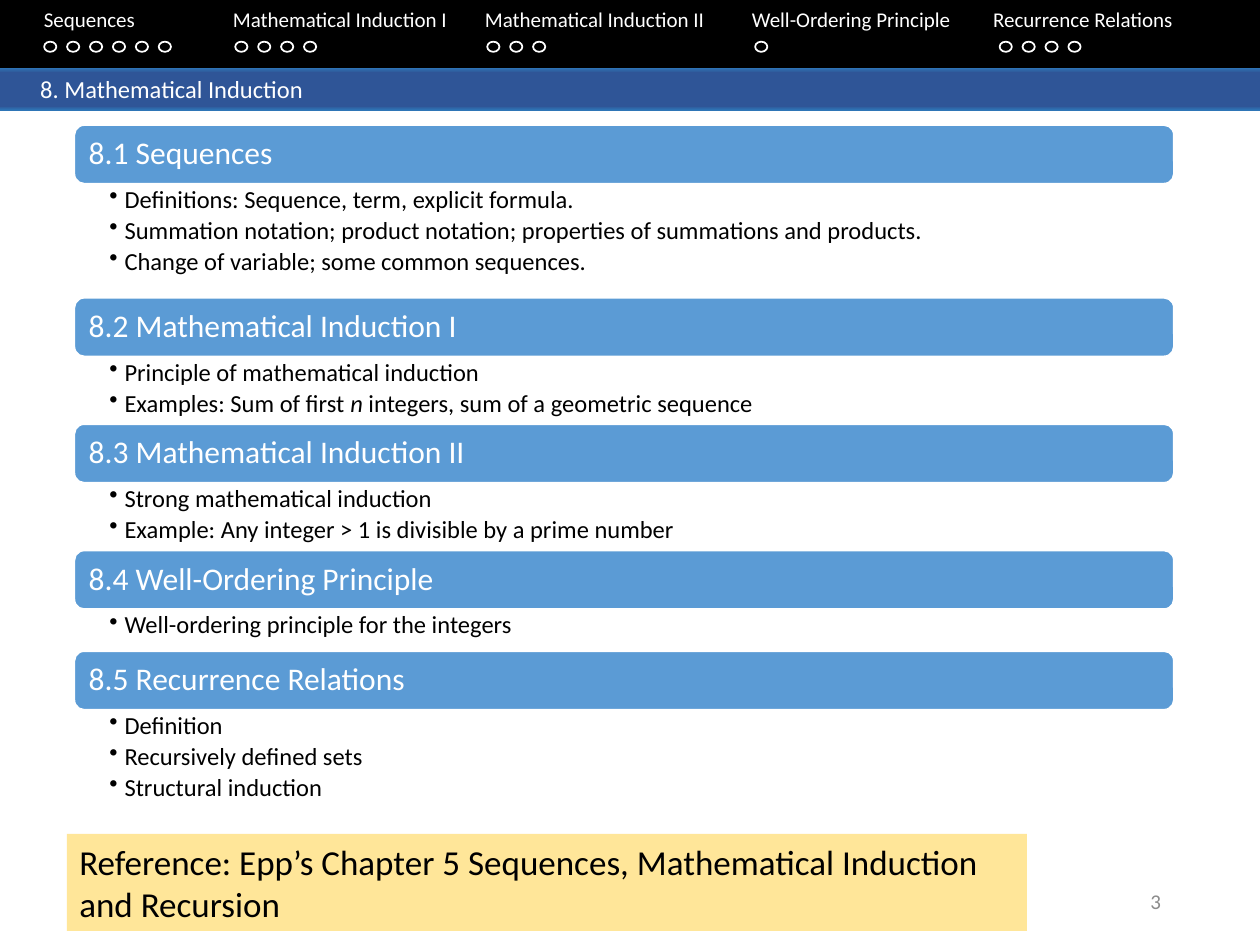
from lxml.etree import SubElement
from pptx import Presentation
from pptx.dml.color import RGBColor
from pptx.enum.shapes import MSO_SHAPE
from pptx.enum.text import MSO_ANCHOR, MSO_AUTO_SIZE, PP_ALIGN
from pptx.oxml.ns import qn
from pptx.util import Pt

FONT = "Calibri"
WHITE, BLACK, GREY = "FFFFFF", "000000", "8C8C8C"
HEADING_BLUE, REFERENCE_YELLOW = "5B9BD5", "FFE699"
BAR_STOPS = [(0, "2E75B6"), (11, "2F5597"), (91, "2F5597"), (100, "2E75B6")]

# Title, tab stop, left of first dot, number of dots
NAVIGATION = [
    ("Sequences", 18, 25.2, 6),
    ("Mathematical Induction I", 126, 134.4, 4),
    ("Mathematical Induction II", 270, 278.4, 3),
    ("Well-Ordering Principle", 422.6, 431.5, 1),
    ("Recurrence Relations", 560.5, 571.2, 4),
]
DOT_TOP, DOT_WIDTH, DOT_HEIGHT, DOT_PITCH = 23.8, 7, 5.8, 13.1

# Heading, height of the bullet area, bullets; asterisks mark italics
SECTIONS = [
    ("8.1 Sequences", 65.2, [
        "Definitions: Sequence, term, explicit formula.",
        "Summation notation; product notation; properties of summations and products.",
        "Change of variable; some common sequences."]),
    ("8.2 Mathematical Induction I", 38.7, [
        "Principle of mathematical induction",
        "Examples: Sum of first *n* integers, sum of a geometric sequence"]),
    ("8.3 Mathematical Induction II", 38.7, [
        "Strong mathematical induction",
        "Example: Any integer > 1 is divisible by a prime number"]),
    ("8.4 Well-Ordering Principle", 24, [
        "Well-ordering principle for the integers"]),
    ("8.5 Recurrence Relations", 57, [
        "Definition",
        "Recursively defined sets",
        "Structural induction"]),
]
SECTION_LEFT, SECTION_TOP, SECTION_WIDTH, HEADING_HEIGHT = 42.5, 71.5, 628.3, 33.5


def rgb(color):
    return RGBColor.from_string(color)


def add_shape(slide, kind, box, fill=None, line=None):
    shape = slide.shapes.add_shape(kind, *map(Pt, box))
    shape.shadow.inherit = False
    if fill:
        shape.fill.solid()
        shape.fill.fore_color.rgb = rgb(fill)
    else:
        shape.fill.background()
    if line:
        shape.line.color.rgb = rgb(line)
        shape.line.width = Pt(1)
    else:
        shape.line.fill.background()
    return shape


def set_bar_gradient(shape):
    shape.fill.gradient()
    shape.fill.gradient_angle = 270
    stops = shape.fill._fill._gradFill.find(qn("a:gsLst"))
    for stop in list(stops):
        stops.remove(stop)
    for percent, color in BAR_STOPS:
        stop = SubElement(stops, qn("a:gs"), pos=str(percent * 1000))
        SubElement(stop, qn("a:srgbClr"), val=color)


def set_frame(shape, insets=(7.2, 3.6, 7.2, 3.6), anchor=MSO_ANCHOR.TOP):
    frame = shape.text_frame
    frame.word_wrap = True
    frame.vertical_anchor = anchor
    (frame.margin_left, frame.margin_top,
     frame.margin_right, frame.margin_bottom) = map(Pt, insets)
    return frame


def format_paragraph(paragraph, size, color, align=PP_ALIGN.LEFT):
    paragraph.alignment = align
    for run in paragraph.runs:
        run.font.name = FONT
        run.font.size = Pt(size)
        run.font.color.rgb = rgb(color)


def write_text(shape, text, size, color, align=PP_ALIGN.LEFT, **frame_options):
    frame = set_frame(shape, **frame_options)
    frame.text = text
    format_paragraph(frame.paragraphs[0], size, color, align)
    return frame


def add_text_box(slide, box):
    return slide.shapes.add_textbox(*map(Pt, box))


def add_navigation(slide):
    add_shape(slide, MSO_SHAPE.RECTANGLE, (0, 0, 720, 38.9), BLACK)
    titles = "".join("\t" + title for title, *_ in NAVIGATION)
    frame = write_text(add_text_box(slide, (0, 0, 720, 36)), titles, 12, WHITE)
    properties = frame.paragraphs[0]._p.get_or_add_pPr()
    tab_list = SubElement(properties, qn("a:tabLst"))
    for _, tab, first_dot, count in NAVIGATION:
        SubElement(tab_list, qn("a:tab"), pos=str(int(Pt(tab))), algn="l")
        for index in range(count):
            left = first_dot + index * DOT_PITCH
            add_shape(slide, MSO_SHAPE.OVAL,
                      (left, DOT_TOP, DOT_WIDTH, DOT_HEIGHT), line=WHITE)


def add_chapter_bar(slide):
    bar = add_shape(slide, MSO_SHAPE.RECTANGLE, (0, 38.9, 720, 24))
    set_bar_gradient(bar)
    write_text(bar, "8. Mathematical Induction", 14, WHITE,
               insets=(23, 3.6, 7.2, 3.6))


def add_bullets(slide, box, bullets):
    frame = set_frame(add_text_box(slide, box), insets=(20, 2, 10, 2))
    for index, bullet in enumerate(bullets):
        paragraph = frame.paragraphs[0] if index == 0 else frame.add_paragraph()
        paragraph.level = 1
        paragraph.line_spacing = 0.9
        paragraph.space_after = Pt(2.5)
        for part, text in enumerate(bullet.split("*")):
            run = paragraph.add_run()
            run.text = text
            run.font.italic = part % 2 == 1
        format_paragraph(paragraph, 14, BLACK)
        properties = paragraph._p.get_or_add_pPr()
        properties.set("marL", str(int(Pt(8.64))))
        properties.set("indent", str(int(Pt(-8.64))))
        SubElement(properties, qn("a:buChar"), char="•")


def add_sections(slide):
    top = SECTION_TOP
    for heading, height, bullets in SECTIONS:
        bar = add_shape(slide, MSO_SHAPE.ROUNDED_RECTANGLE,
                        (SECTION_LEFT, top, SECTION_WIDTH, HEADING_HEIGHT),
                        HEADING_BLUE, WHITE)
        frame = write_text(bar, heading, 18, WHITE, insets=(6.6, 5, 6.6, 5),
                           anchor=MSO_ANCHOR.MIDDLE)
        frame.paragraphs[0].line_spacing = 0.9
        top += HEADING_HEIGHT
        add_bullets(slide, (SECTION_LEFT, top, SECTION_WIDTH, height), bullets)
        top += height


def add_reference(slide):
    box = add_shape(slide, MSO_SHAPE.RECTANGLE, (38.2, 476.6, 548.6, 55.4),
                    REFERENCE_YELLOW)
    frame = write_text(
        box, "Reference: Epp’s Chapter 5 Sequences, Mathematical Induction and Recursion",
        20, BLACK)
    frame.auto_size = MSO_AUTO_SIZE.SHAPE_TO_FIT_TEXT


def add_page_number(slide):
    write_text(add_text_box(slide, (508.5, 500.5, 162, 28.8)), "3", 12, GREY,
               PP_ALIGN.RIGHT, anchor=MSO_ANCHOR.MIDDLE)


def main():
    presentation = Presentation()
    presentation.slide_width, presentation.slide_height = Pt(720), Pt(540)
    slide = presentation.slides.add_slide(presentation.slide_layouts[6])
    add_chapter_bar(slide)
    add_navigation(slide)
    add_sections(slide)
    add_reference(slide)
    add_page_number(slide)
    presentation.save("out.pptx")


if __name__ == "__main__":
    main()
